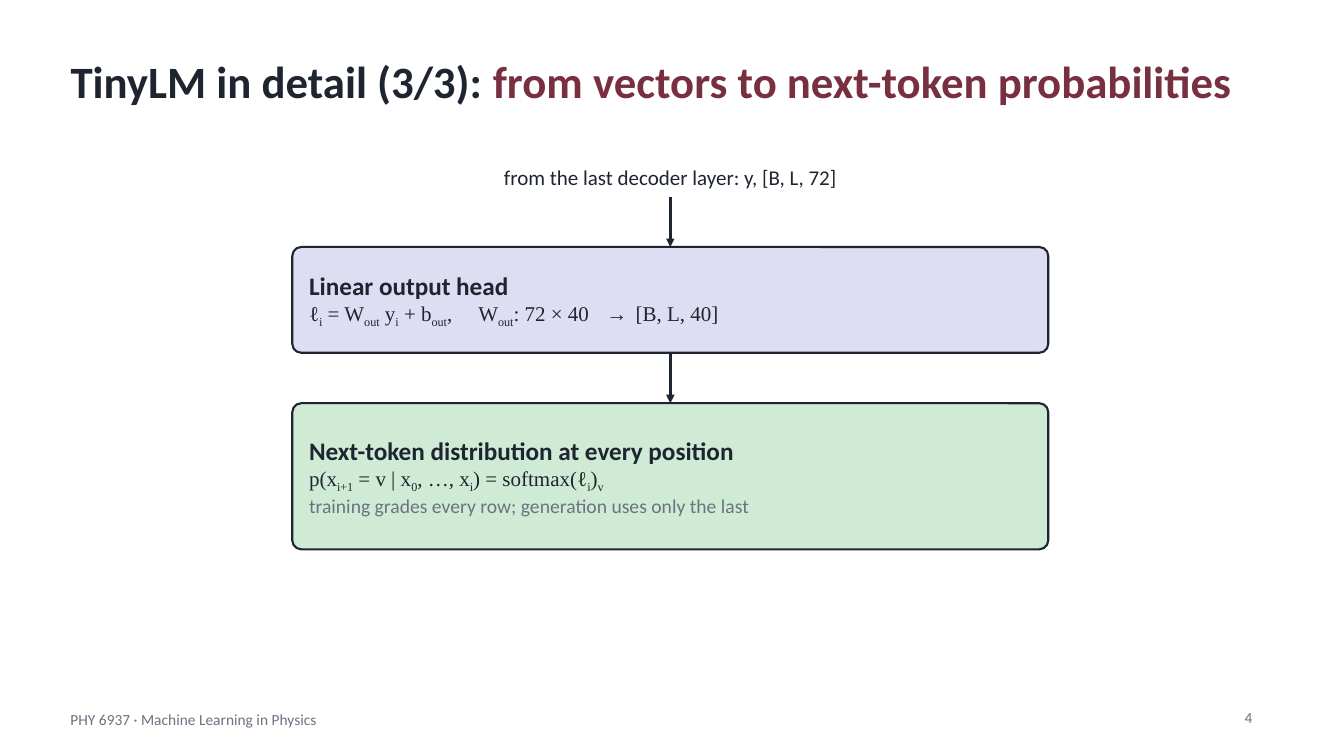
from dataclasses import dataclass

from lxml.etree import SubElement
from pptx import Presentation
from pptx.dml.color import RGBColor
from pptx.enum.shapes import MSO_CONNECTOR, MSO_SHAPE
from pptx.enum.text import MSO_ANCHOR, MSO_AUTO_SIZE, PP_ALIGN
from pptx.oxml.ns import qn
from pptx.shapes.autoshape import Shape
from pptx.shapes.connector import Connector
from pptx.slide import Slide
from pptx.text.text import TextFrame, _Paragraph
from pptx.util import Inches, Pt

# Grid of 0.1 inch cells
COLUMNS, ROWS = 133.33, 75
INK, GARNET, GREY = "1E2530", "782F40", "6B7280"
SANS, SERIF = "Calibri", "Times New Roman"


@dataclass(frozen=True)
class Span:
    text: str
    size: float
    color: str = INK
    font: str = SANS
    bold: bool = False
    subscript: bool = False


@dataclass(frozen=True)
class Line:
    spans: list[Span]
    tabs: tuple[float, ...] = ()


@dataclass(frozen=True)
class Stage:
    height: float
    fill: str
    lines: list[Line]


def cells(count: float) -> int:
    return Inches(count / 10)


def rgb(color: str) -> RGBColor:
    return RGBColor.from_string(color)


def formula(*parts: str) -> list[Span]:
    """Alternate baseline text and subscripts."""
    return [Span(part, 15, font=SERIF, subscript=i % 2 == 1)
            for i, part in enumerate(parts)]


def write_line(paragraph: _Paragraph, line: Line) -> None:
    if line.tabs:
        tab_list = SubElement(paragraph._p.get_or_add_pPr(), qn("a:tabLst"))
        for stop in line.tabs:
            SubElement(tab_list, qn("a:tab"), pos=str(cells(stop)), algn="l")
    for span in line.spans:
        run = paragraph.add_run()
        run.text = span.text
        run.font.name = span.font
        run.font.size = Pt(span.size)
        run.font.bold = span.bold
        run.font.color.rgb = rgb(span.color)
        if span.subscript:
            run._r.get_or_add_rPr().set("baseline", "-25000")


def write_lines(frame: TextFrame, lines: list[Line], align: PP_ALIGN = PP_ALIGN.LEFT) -> None:
    for i, line in enumerate(lines):
        paragraph = frame.add_paragraph() if i else frame.paragraphs[0]
        paragraph.alignment = align
        write_line(paragraph, line)


def set_margins(frame: TextFrame, side: float, end: float) -> None:
    frame.margin_left = frame.margin_right = cells(side)
    frame.margin_top = frame.margin_bottom = cells(end)
    frame.vertical_anchor = MSO_ANCHOR.MIDDLE


def add_label(slide: Slide, left: float, top: float, width: float, height: float,
              span: Span) -> TextFrame:
    label = slide.shapes.add_textbox(cells(left), cells(top), cells(width), cells(height))
    label.text_frame.auto_size = MSO_AUTO_SIZE.SHAPE_TO_FIT_TEXT
    label.text_frame.word_wrap = False
    write_lines(label.text_frame, [Line([span])])
    return label.text_frame


def add_stage(slide: Slide, stage: Stage, left: float, top: float, width: float) -> Shape:
    box = slide.shapes.add_shape(MSO_SHAPE.ROUNDED_RECTANGLE, cells(left), cells(top),
                                 cells(width), cells(stage.height))
    box.adjustments[0] = 0.9 / stage.height
    box.shadow.inherit = False
    box.fill.solid()
    box.fill.fore_color.rgb = rgb(stage.fill)
    box.line.color.rgb = rgb(INK)
    box.line.width = Pt(1.5)
    box.text_frame.word_wrap = True
    set_margins(box.text_frame, 1.4, 0.4)
    write_lines(box.text_frame, stage.lines)
    return box


def add_arrow(slide: Slide, x: float, top: float, bottom: float) -> Connector:
    arrow = slide.shapes.add_connector(MSO_CONNECTOR.STRAIGHT, cells(x), cells(top),
                                       cells(x), cells(bottom))
    arrow.line.color.rgb = rgb(INK)
    arrow.line.width = Pt(2)
    SubElement(arrow.line._get_or_add_ln(), qn("a:tailEnd"), type="triangle")
    SubElement(arrow._element.spPr, qn("a:effectLst"))
    return arrow


STAGES = [
    Stage(10.5, "DDDEF4", [
        Line([Span("Linear output head", 18, bold=True)]),
        Line(formula("ℓ", "i", " = W", "out", " y", "i", " + b", "out", ",\tW", "out",
                     ": 72 × 40\t→\t[B, L, 40]"), tabs=(16.8, 29.5, 32.4)),
    ]),
    Stage(14.5, "CFEBD5", [
        Line([Span("Next-token distribution at every position", 18, bold=True)]),
        Line(formula("p(x", "i+1", " = v | x", "0", ", …, x", "i", ") = softmax(ℓ", "i",
                     ")", "v")),
        Line([Span("training grades every row; generation uses only the last", 14, GREY)]),
    ]),
]


def main() -> None:
    deck = Presentation()
    deck.slide_width, deck.slide_height = cells(COLUMNS), cells(ROWS)
    slide = deck.slides.add_slide(deck.slide_layouts[5])

    # Footer and page number
    add_label(slide, 6, 70, 29.6, 3.4, Span("PHY 6937 · Machine Learning in Physics", 11, GREY))
    add_label(slide, 122.5, 69.8, 4.6, 3.7, Span("4", 11, GREY))

    # Title
    title = slide.shapes.title
    title.left, title.top = cells(6), cells(3.2)
    title.width, title.height = cells(121.3), cells(9.5)
    set_margins(title.text_frame, 1, 0.5)
    write_lines(title.text_frame, [Line([
        Span("TinyLM in detail (3/3): ", 32, bold=True),
        Span("from vectors to next-token probabilities", 32, GARNET, bold=True),
    ])])

    # Input to the output head
    center, width, gap = 66.5, 75, 5
    source = add_label(slide, center - 30, 16, 60, 3.2,
                       Span("from the last decoder layer: y, [B, L, 72]", 15))
    source.word_wrap = True
    source.paragraphs[0].alignment = PP_ALIGN.CENTER
    set_margins(source, 0, 0)

    # Stages stacked downwards, each entered by an arrow
    bottom, previous = 19.5, None
    for stage in STAGES:
        top = bottom + gap
        arrow = add_arrow(slide, center, bottom, top)
        box = add_stage(slide, stage, center - width / 2, top, width)
        if previous is not None:
            arrow.begin_connect(previous, 2)
        arrow.end_connect(box, 0)
        bottom, previous = top + stage.height, box

    deck.save("out.pptx")


if __name__ == "__main__":
    main()
